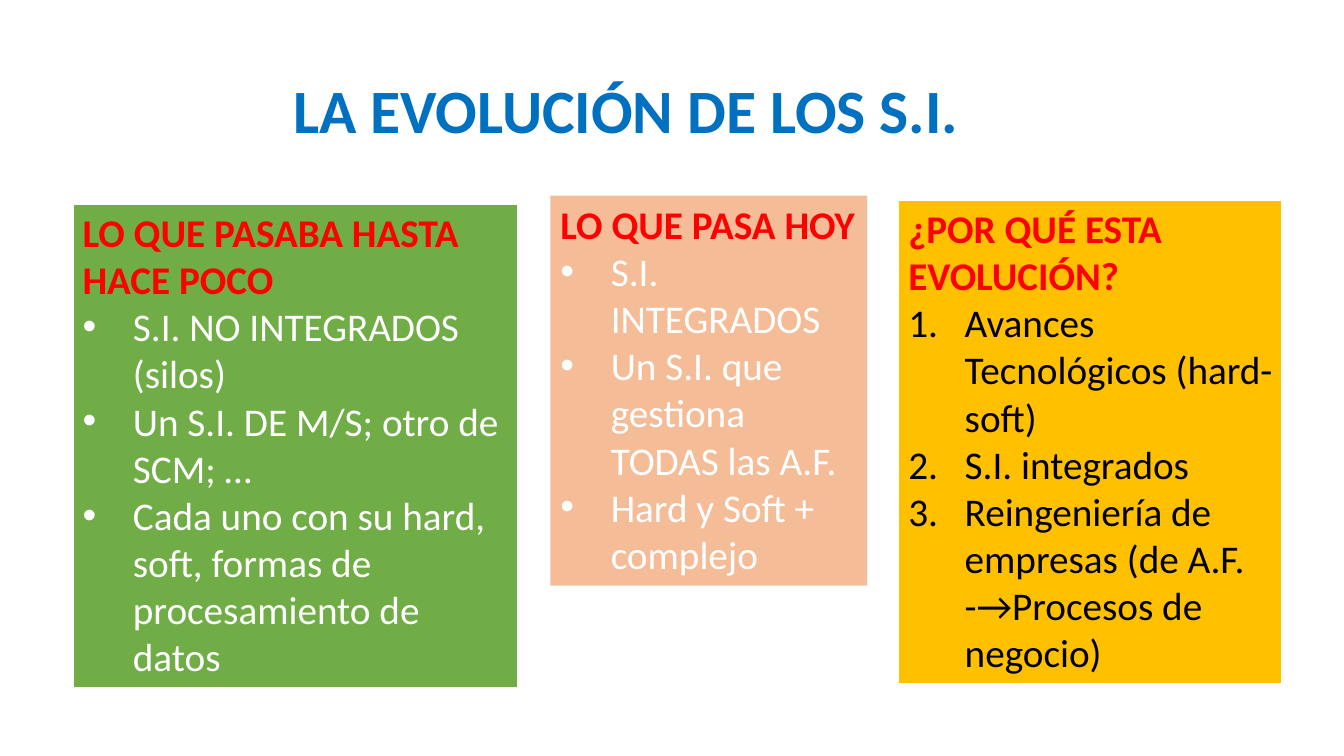
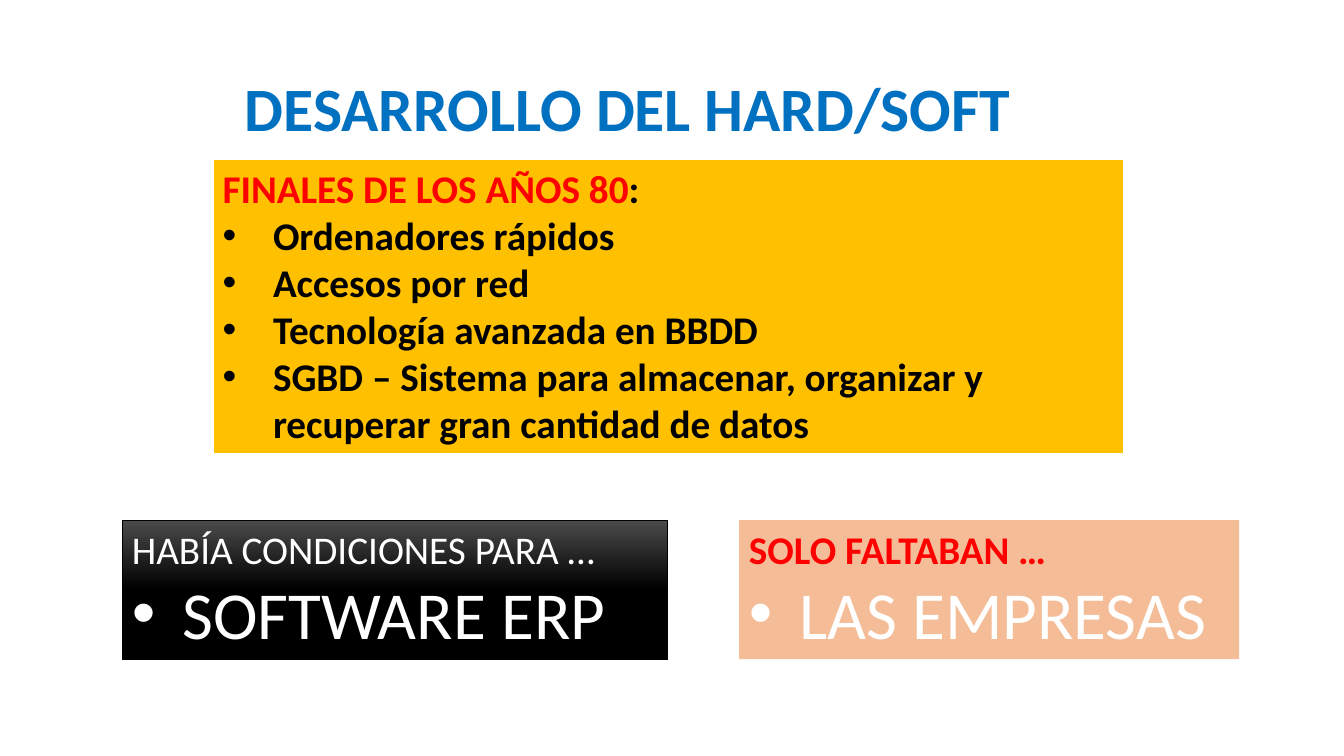
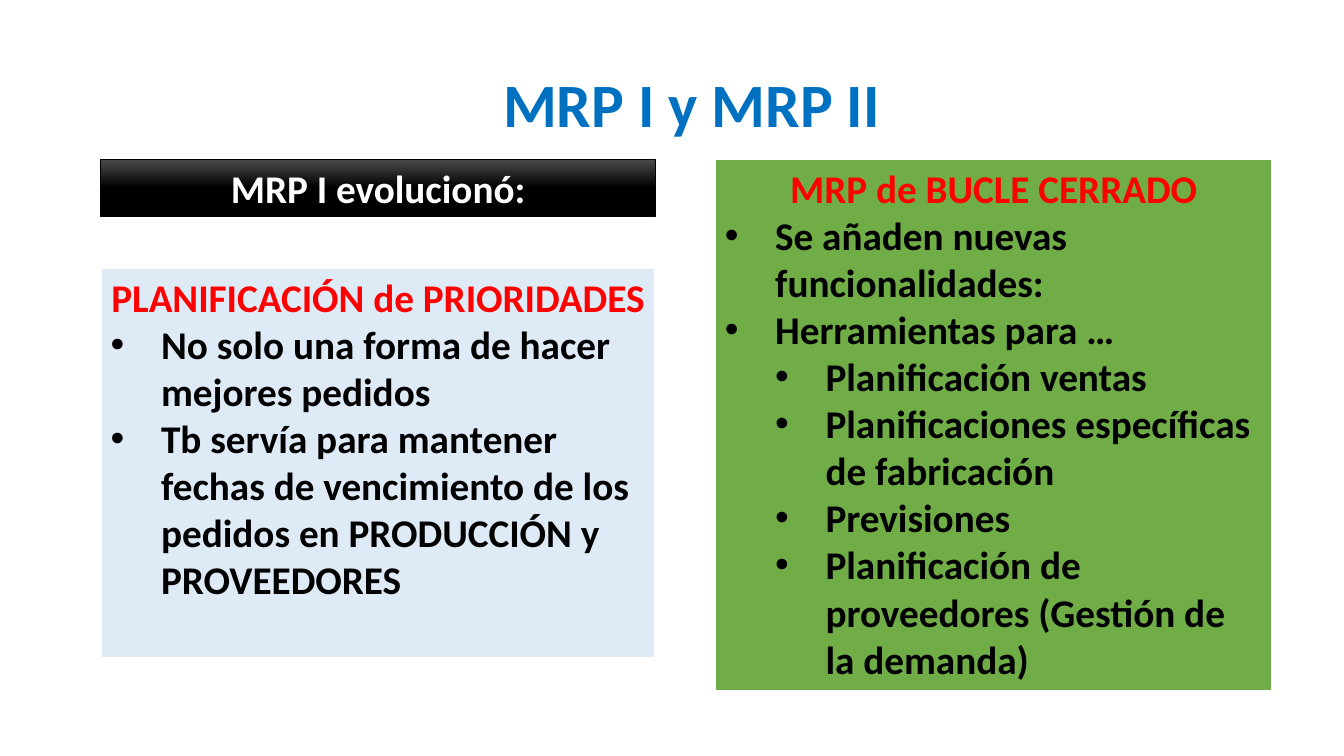
import pptx
import pptx.util
import pptx.dml.color
import pptx.enum.shapes
import pptx.enum.text
from lxml import etree
from pptx.oxml.ns import qn

Inches = pptx.util.Inches
Pt = pptx.util.Pt

BLUE, RED, WHITE, BLACK = "0070C0", "FF0000", "FFFFFF", "000000"
GREEN, AMBER, ORANGE, PALE_BLUE, GREY = "70AD47", "FFC000", "ED7D31", "DEEBF7", "4B4B4B"
LEFT = pptx.enum.text.PP_ALIGN.LEFT
CENTER = pptx.enum.text.PP_ALIGN.CENTER


def rgb(value):
    return pptx.dml.color.RGBColor.from_string(value)


class Deck:
    """Holds the shared style and the slide being built."""

    font = "Calibri"
    text_size = 28
    title_size = 44
    bullet_indent = 0.5
    number_indent = 0.56

    def __init__(self):
        self.prs = pptx.Presentation()
        self.prs.slide_width = Inches(13.33)
        self.prs.slide_height = Inches(7.5)
        self.slide = None

    def new_slide(self, title, left, top, width):
        layout = self.prs.slide_layouts.get_by_name("Title Only")
        self.slide = self.prs.slides.add_slide(layout)
        sp = self.slide.shapes.title
        sp.left, sp.top, sp.width, sp.height = map(Inches, (left, top, width, 0.84))
        self.frame(sp, wrap=False)
        p = sp.text_frame.paragraphs[0]
        p.alignment = LEFT
        r = self.run(p, title, BLUE, True, self.title_size)
        self.outline_text(r)

    def frame(self, sp, wrap=True):
        tf = sp.text_frame
        tf.word_wrap = wrap
        tf.auto_size = pptx.enum.text.MSO_AUTO_SIZE.NONE
        tf.vertical_anchor = pptx.enum.text.MSO_ANCHOR.TOP
        return tf

    def run(self, p, text, color, bold, size):
        r = p.add_run()
        r.text = text
        r.font.name = self.font
        r.font.size = Pt(size)
        r.font.bold = bold
        r.font.color.rgb = rgb(color)
        return r

    def outline_text(self, r):
        ln = etree.Element(qn("a:ln"), w=str(Pt(0.75)))
        fill = etree.SubElement(ln, qn("a:solidFill"))
        etree.SubElement(fill, qn("a:srgbClr"), val=WHITE)
        r.font._element.insert(0, ln)

    def mark(self, p, level, numbered):
        """Give a paragraph its bullet or number and a hanging indent."""
        hang = self.number_indent if numbered else self.bullet_indent
        pPr = p._p.get_or_add_pPr()
        pPr.set("marL", str(Inches(hang * (level + 1))))
        pPr.set("indent", str(-Inches(hang)))
        if numbered:
            etree.SubElement(pPr, qn("a:buFont"), typeface="+mj-lt")
            etree.SubElement(pPr, qn("a:buAutoNum"), type="arabicPeriod")
        else:
            etree.SubElement(pPr, qn("a:buFont"), typeface="Arial")
            etree.SubElement(pPr, qn("a:buChar"), char="•")
        p.level = level

    def rectangle(self, left, top, width, height):
        sp = self.slide.shapes.add_shape(
            pptx.enum.shapes.MSO_SHAPE.RECTANGLE,
            *map(Inches, (left, top, width, height)))
        sp.shadow.inherit = False
        return sp

    def solid(self, sp, color):
        sp.fill.solid()
        sp.fill.fore_color.rgb = rgb(color)
        sp.line.color.rgb = rgb(WHITE)
        sp.line.width = Pt(1.5)

    def translucent(self, sp, color):
        sp.fill.solid()
        sp.fill.fore_color.rgb = rgb(color)
        clr = sp._element.spPr.find(qn("a:solidFill")).find(qn("a:srgbClr"))
        etree.SubElement(clr, qn("a:alpha"), val="50000")
        sp.line.fill.background()

    def dark_gradient(self, sp):
        sp.fill.gradient()
        sp.fill.gradient_angle = 270
        for stop, color, position in zip(sp.fill.gradient_stops, (GREY, BLACK), (0, 0.5)):
            stop.color.rgb = rgb(color)
            stop.position = position
        sp.line.color.rgb = rgb(BLACK)
        sp.line.width = Pt(0.5)

    def box(self, at, fill, heading, items=(), color=BLACK, bold=False, size=text_size,
            heading_color=RED, heading_bold=True, heading_tail="", align=LEFT,
            numbered=False):
        """Draw a filled box with a heading and a list of (level, text) items."""
        sp = self.rectangle(*at)
        if fill == BLACK:
            self.dark_gradient(sp)
        elif fill == ORANGE:
            self.translucent(sp, fill)
        else:
            self.solid(sp, fill)
        tf = self.frame(sp)
        p = tf.paragraphs[0]
        p.alignment = align
        self.run(p, heading, heading_color, heading_bold, self.text_size)
        if heading_tail:
            self.run(p, heading_tail, color, heading_bold, self.text_size)
        for level, text in items:
            p = tf.add_paragraph()
            p.alignment = LEFT
            self.mark(p, level, numbered)
            self.run(p, text, color, bold, size)


def evolution(deck):
    deck.new_slide("LA EVOLUCIÓN DE LOS S.I.", 2.81, 0.66, 6.96)
    deck.box((0.72, 2.02, 4.42, 4.81), GREEN, "LO QUE PASABA HASTA HACE POCO", [
        (0, "S.I. NO INTEGRADOS (silos)"),
        (0, "Un S.I. DE M/S; otro de SCM; …"),
        (0, "Cada uno con su hard, soft, formas de procesamiento de datos"),
    ], color=WHITE)
    deck.box((5.46, 1.94, 3.14, 3.87), ORANGE, "LO QUE PASA HOY", [
        (0, "S.I. INTEGRADOS"),
        (0, "Un S.I. que gestiona TODAS las A.F."),
        (0, "Hard y Soft + complejo"),
    ], color=WHITE)
    deck.box((8.91, 1.98, 3.81, 4.81), AMBER, "¿POR QUÉ ESTA EVOLUCIÓN?", [
        (0, "Avances Tecnológicos (hard-soft)"),
        (0, "S.I. integrados"),
        (0, "Reingeniería de empresas (de A.F. -→Procesos de negocio)"),
    ], numbered=True)


def development(deck):
    deck.new_slide("DESARROLLO DEL HARD/SOFT", 2.33, 0.64, 8.11)
    deck.box((2.11, 1.58, 9.04, 2.93), AMBER, "FINALES DE LOS AÑOS 80", [
        (0, "Ordenadores rápidos"),
        (0, "Accesos por red"),
        (0, "Tecnología avanzada en BBDD"),
        (0, "SGBD – Sistema para almacenar, organizar y recuperar gran cantidad de datos"),
    ], bold=True, heading_tail=":")
    deck.box((1.21, 5.16, 5.41, 1.38), BLACK, "HABÍA CONDICIONES PARA …",
             [(0, "SOFTWARE ERP")], color=WHITE, size=48,
             heading_color=WHITE, heading_bold=False)
    deck.box((7.33, 5.16, 4.96, 1.38), ORANGE, "SOLO FALTABAN …",
             [(0, "LAS EMPRESAS")], color=WHITE, size=48)


def mrp(deck):
    deck.new_slide("MRP I y MRP II", 4.89, 0.6, 4.4)
    deck.box((1, 2.66, 5.5, 3.87), PALE_BLUE, "PLANIFICACIÓN de PRIORIDADES", [
        (0, "No solo una forma de hacer mejores pedidos"),
        (0, "Tb servía para mantener fechas de vencimiento de los pedidos en "
            "PRODUCCIÓN y PROVEEDORES"),
    ], bold=True, align=CENTER)
    deck.box((1, 1.58, 5.5, 0.57), BLACK, "MRP I evolucionó:",
             heading_color=WHITE, align=CENTER)
    deck.box((7.09, 1.58, 5.53, 5.28), GREEN, "MRP de BUCLE CERRADO", [
        (0, "Se añaden nuevas funcionalidades:"),
        (0, "Herramientas para …"),
        (1, "Planificación ventas"),
        (1, "Planificaciones específicas de fabricación"),
        (1, "Previsiones"),
        (1, "Planificación de proveedores (Gestión de la demanda)"),
    ], bold=True, align=CENTER)


def main():
    deck = Deck()
    for build in (evolution, development, mrp):
        build(deck)
    deck.prs.save("out.pptx")


if __name__ == "__main__":
    main()
